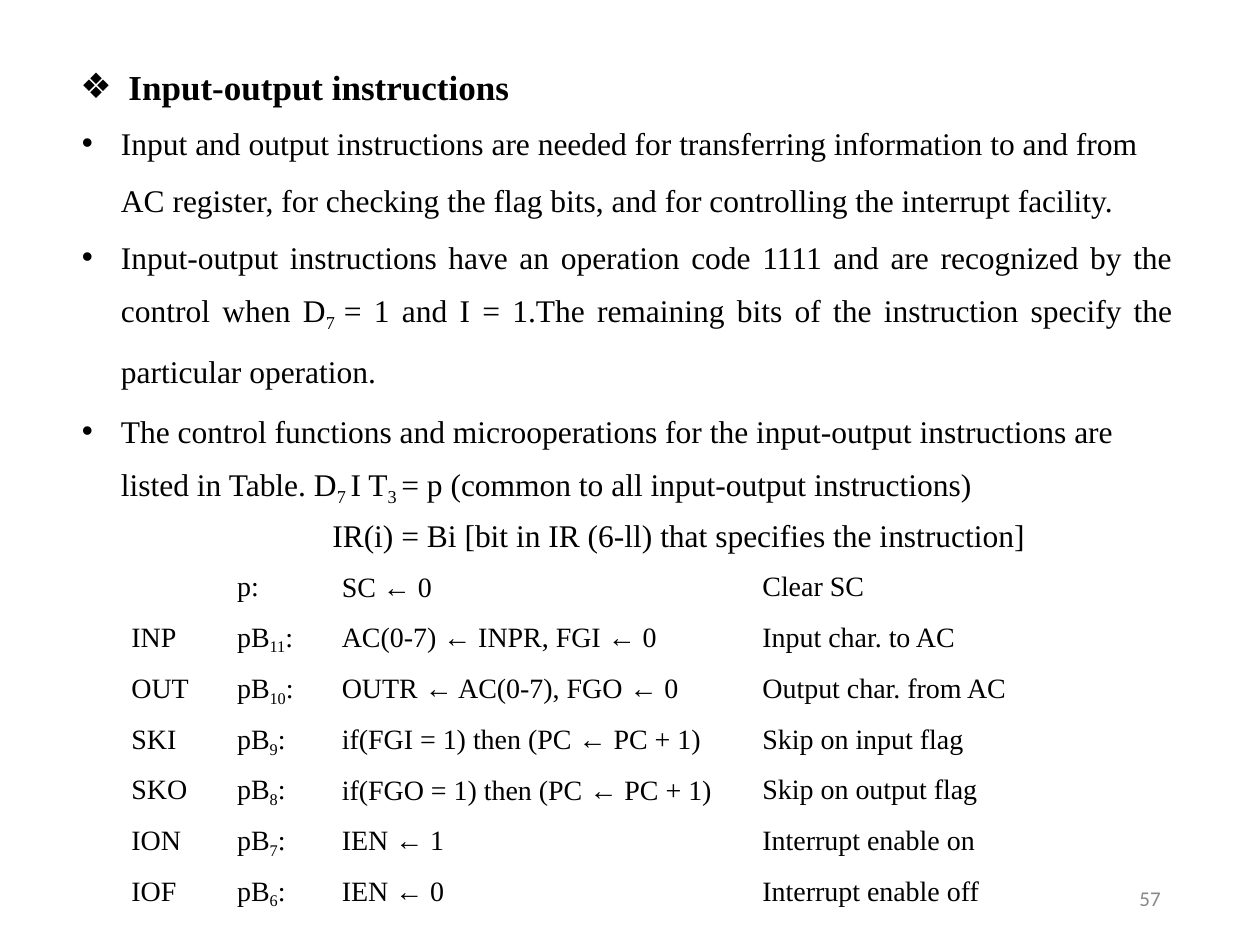
from itertools import groupby

from lxml import etree
from pptx import Presentation
from pptx.dml.color import RGBColor
from pptx.enum import text as t
from pptx.oxml.ns import qn
from pptx.util import Cm, Pt

BLACK = RGBColor(0x00, 0x00, 0x00)
GREY = RGBColor(0x88, 0x88, 0x88)
SERIF, SANS, ARROWS = "Times New Roman", "Calibri", "Arial"

HEADING = "Input-output instructions"
# Text between two bars is set as a subscript.
POINTS = [
    "Input and output instructions are needed for transferring information to and from "
    "AC register, for checking the flag bits, and for controlling the interrupt facility.",
    "Input-output instructions have an operation code 1111 and are recognized by the "
    "control when D|7 |= 1 and I = 1.The remaining bits of the instruction specify the "
    "particular operation.",
    "The control functions and microoperations for the input-output instructions are "
    "listed in Table. D|7 |I T|3 |= p (common to all input-output instructions)",
]
BIT_RULE = "IR(i) = Bi [bit in IR (6-ll) that specifies the instruction]"
INSTRUCTIONS = [
    ("", "p:", "SC ← 0", "Clear SC"),
    ("INP", "pB|11|:", "AC(0-7) ← INPR, FGI ← 0", "Input char. to AC"),
    ("OUT", "pB|10|:", "OUTR ← AC(0-7), FGO ← 0", "Output char. from AC"),
    ("SKI", "pB|9|:", "if(FGI = 1) then (PC ← PC + 1)", "Skip on input flag"),
    ("SKO", "pB|8|:", "if(FGO = 1) then (PC ← PC + 1)", "Skip on output flag"),
    ("ION", "pB|7|:", "IEN ← 1", "Interrupt enable on"),
    ("IOF", "pB|6|:", "IEN ← 0", "Interrupt enable off"),
]


def set_frame(frame):
    frame.word_wrap = True
    frame.auto_size = t.MSO_AUTO_SIZE.NONE
    frame.vertical_anchor = t.MSO_ANCHOR.TOP
    frame.margin_left = frame.margin_right = frame.margin_top = frame.margin_bottom = 0


def set_indent(paragraph, left, first=0, bullet=None):
    """Set the left margin and first-line indent, and a bullet if one is given."""
    properties = paragraph._p.get_or_add_pPr()
    properties.set("marL", str(left))
    properties.set("indent", str(first))
    if bullet:
        etree.SubElement(properties, qn("a:buFont"), typeface=ARROWS)
        etree.SubElement(properties, qn("a:buChar"), char=bullet)


def style(font, size, name=SERIF, color=BLACK):
    font.size = Pt(size)
    font.name = name
    font.color.rgb = color


def write(paragraph, marked, size):
    """Add runs, with subscripts between bars and arrows in their own font."""
    for index, part in enumerate(marked.split("|")):
        for is_arrow, letters in groupby(part, key=lambda letter: letter == "←"):
            run = paragraph.add_run()
            run.text = "".join(letters)
            style(run.font, size, ARROWS if is_arrow else SERIF)
            if index % 2:
                run.font._element.set("baseline", "-21000")


def add_heading(slide, left, top, width, height):
    title = slide.shapes.title
    title.left, title.top, title.width, title.height = left, top, width, height
    frame = title.text_frame
    set_frame(frame)
    frame.text = HEADING
    heading = frame.paragraphs[0]
    heading.alignment = t.PP_ALIGN.LEFT
    set_indent(heading, Cm(1.17), Cm(-0.97), "❖")
    style(heading.runs[0].font, 20)
    heading.runs[0].font.bold = True


def add_points(slide, left, top, width, height):
    frame = slide.shapes.add_textbox(left, top, width, height).text_frame
    set_frame(frame)
    for index, point in enumerate(POINTS):
        paragraph = frame.add_paragraph() if index else frame.paragraphs[0]
        set_indent(paragraph, Cm(1.02), Cm(-0.79), "•")
        paragraph.line_spacing = Pt(32.6)
        write(paragraph, point, 18)
    frame.paragraphs[1].alignment = t.PP_ALIGN.JUSTIFY
    frame.paragraphs[2].space_before = Pt(1.7)

    rule = frame.add_paragraph()
    set_indent(rule, Cm(5.28))
    rule.line_spacing = Pt(26.9)
    write(rule, BIT_RULE, 18)


def add_instructions(slide, left, top):
    widths = [Cm(1.73), Cm(2.13), Cm(8.43), Cm(5.51)]
    indents = [Cm(0.08), Cm(0.48), Cm(0.46), Cm(0.51)]
    heights = [Cm(0.86), Cm(1.07)] + [Cm(1.02)] * 4 + [Cm(0.89)]
    table = slide.shapes.add_table(
        len(heights), len(widths), left, top, sum(widths), sum(heights)).table
    table.first_row = table.horz_banding = False
    for column, width in zip(table.columns, widths):
        column.width = width
    for index, (row, height, entries) in enumerate(zip(table.rows, heights, INSTRUCTIONS)):
        row.height = height
        for cell, indent, entry in zip(row.cells, indents, entries):
            cell.fill.background()
            cell.margin_left = cell.margin_right = cell.margin_bottom = 0
            cell.margin_top = (0, Cm(0.15))[index] if index < 2 else Cm(0.12)
            set_indent(cell.text_frame.paragraphs[0], indent)
            write(cell.text_frame.paragraphs[0], entry, 16)


def add_page_number(slide, left, top, width, height):
    frame = slide.shapes.add_textbox(left, top, width, height).text_frame
    set_frame(frame)
    frame.text = "57"
    set_indent(frame.paragraphs[0], Cm(0.03))
    style(frame.paragraphs[0].runs[0].font, 12, SANS, GREY)


def main():
    deck = Presentation()
    deck.slide_width, deck.slide_height = Cm(25.4), Cm(19.05)
    slide = deck.slides.add_slide(deck.slide_layouts[5])
    add_heading(slide, Cm(1.42), Cm(1.32), Cm(22.6), Cm(0.82))
    add_points(slide, Cm(1.42), Cm(2.11), Cm(22.23), Cm(9))
    add_instructions(slide, Cm(2.57), Cm(11.53))
    add_page_number(slide, Cm(22.94), Cm(17.86), Cm(0.51), Cm(0.58))
    deck.save("out.pptx")


if __name__ == "__main__":
    main()
